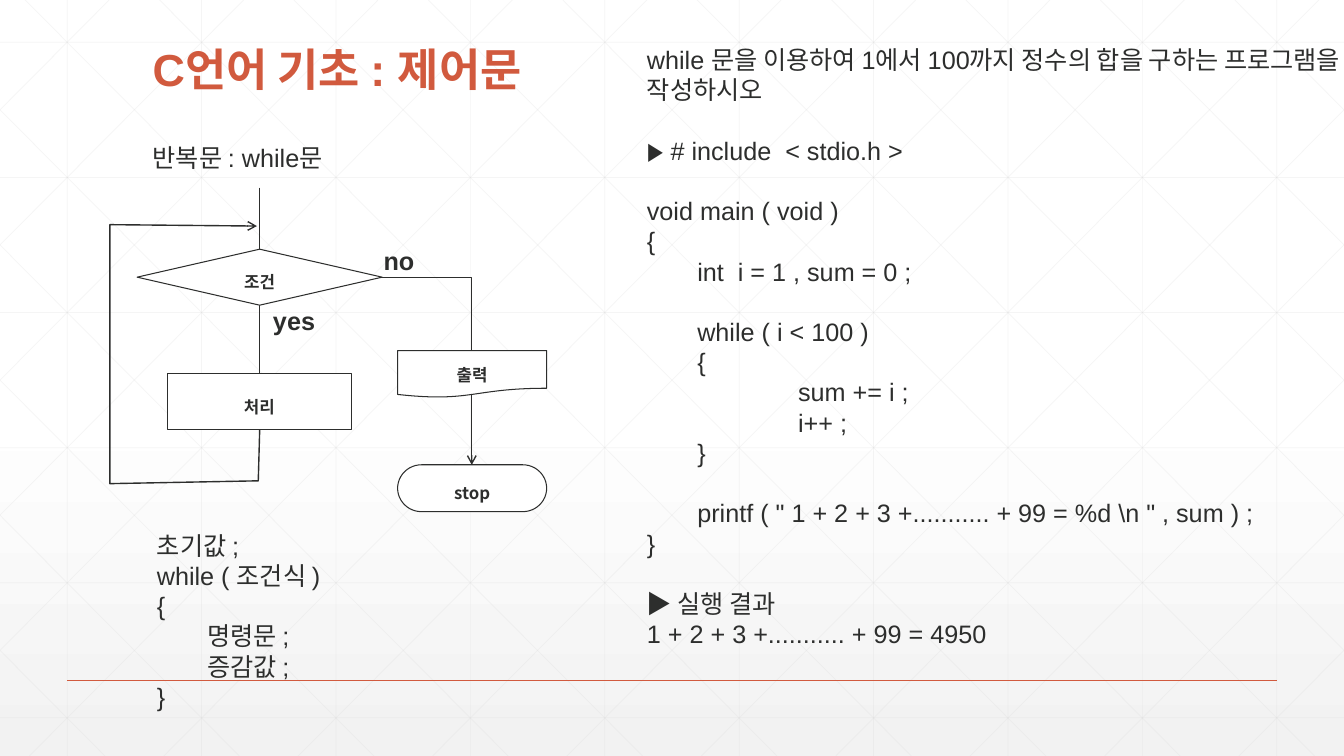
"""Build a slide on the C while statement with a flowchart and sample code."""
from lxml import etree
from pptx import Presentation
from pptx.dml.color import RGBColor
from pptx.enum.shapes import MSO_CONNECTOR, MSO_SHAPE
from pptx.enum.text import MSO_ANCHOR, PP_ALIGN
from pptx.oxml.ns import qn
from pptx.util import Pt

STRAIGHT = MSO_CONNECTOR.STRAIGHT
TOP, MIDDLE, BOTTOM = MSO_ANCHOR.TOP, MSO_ANCHOR.MIDDLE, MSO_ANCHOR.BOTTOM
LEFT, CENTER = PP_ALIGN.LEFT, PP_ALIGN.CENTER
DIAMOND = MSO_SHAPE.DIAMOND
RECTANGLE = MSO_SHAPE.RECTANGLE
DOCUMENT = MSO_SHAPE.FLOWCHART_DOCUMENT
TERMINATOR = MSO_SHAPE.FLOWCHART_TERMINATOR
WHITE = RGBColor(0xFF, 0xFF, 0xFF)
PALE = RGBColor(0xF2, 0xF2, 0xF2)
GRID = RGBColor(0xD9, 0xD9, 0xD9)
ACCENT = RGBColor(0xD1, 0x5A, 0x3E)
INK = RGBColor(0x2D, 0x2E, 0x2D)
KOREAN_FONT = "Noto Sans CJK KR"
WIDTH, HEIGHT = 960, 540
GRID_STEP, DIAGONAL_START, DIAGONAL_RUN = 96, 18, 537
LINE_HEIGHT = Pt(21.6)

presentation = Presentation()
presentation.slide_width, presentation.slide_height = Pt(WIDTH), Pt(HEIGHT)
slide = presentation.slides.add_slide(presentation.slide_layouts[6])
shapes = slide.shapes

background = slide.background.fill
background.gradient()
background.gradient_angle = 270
for stop, (position, color) in zip(background.gradient_stops, [(0.53, WHITE), (1, PALE)]):
    stop.position = position
    stop.color.rgb = color


def draw_line(start, end, color, width, opacity=100):
    """Draw a straight line between two points."""
    line = shapes.add_connector(STRAIGHT, *(Pt(value) for value in (*start, *end)))
    line.line.color.rgb = color
    line.line.width = Pt(width)
    properties = line._element.spPr
    etree.SubElement(properties, qn("a:effectLst"))
    if opacity < 100:
        tint = properties.find(".//" + qn("a:srgbClr"))
        etree.SubElement(tint, qn("a:alpha")).set("val", str(opacity * 1000))


def write_text(frame, lines, size=18, font="Arial", color=INK, bold=False,
               align=LEFT, spacing=LINE_HEIGHT, anchor=TOP):
    """Write lines given as text, left indent and blank lines before."""
    frame.vertical_anchor = anchor
    for index, (text, indent, gap) in enumerate(lines):
        paragraph = frame.add_paragraph() if index else frame.paragraphs[0]
        paragraph.alignment = align
        paragraph.line_spacing = spacing
        paragraph.space_before = Pt(gap * 21.6)
        paragraph._p.get_or_add_pPr().set("marL", str(Pt(indent)))
        run = paragraph.add_run()
        run.text = text
        run.font.size, run.font.name, run.font.bold = Pt(size), font, bold
        run.font.color.rgb = color
        properties = run._r.get_or_add_rPr()
        etree.SubElement(properties, qn("a:ea")).set("typeface", KOREAN_FONT)


for column in range(10):
    x = 48 + column * GRID_STEP
    draw_line((x, 0), (x, HEIGHT), GRID, 0.5, 25)
for row in range(6):
    y = 30.25 + row * 96.5
    draw_line((0, y), (WIDTH, y), GRID, 0.5, 25)
slope = HEIGHT / DIAGONAL_RUN
for step in range(-5, 10):
    x = DIAGONAL_START + step * GRID_STEP
    left, right = max(x, 0), min(x + DIAGONAL_RUN, WIDTH)
    top, bottom = (left - x) * slope, (right - x) * slope
    draw_line((left, top), (right, bottom), GRID, 0.5, 25)
    draw_line((WIDTH - left, top), (WIDTH - right, bottom), GRID, 0.5, 25)
draw_line((48, 486), (912, 486), ACCENT, 1)

title = shapes.add_textbox(Pt(102), Pt(28), Pt(756), Pt(44)).text_frame
title.word_wrap = True
write_text(title, [("C언어 기초 : 제어문", 0, 0)], size=32, color=ACCENT,
           bold=True, spacing=0.9, anchor=BOTTOM)

heading = [("반복문 : while문", 0, 0)]
program = [
    ("while 문을 이용하여 1에서 100까지 정수의 합을 구하는 프로그램을 작성하시오", 0, 0),
    ("▶ # include  < stdio.h >", 0, 1),
    ("void main ( void )", 0, 1),
    ("{", 0, 0),
    ("int  i = 1 , sum = 0 ;", 36, 0),
    ("while ( i < 100 )", 36, 1),
    ("{", 36, 0),
    ("sum += i ;", 108, 0),
    ("i++ ;", 108, 0),
    ("}", 36, 0),
    ('printf ( " 1 + 2 + 3 +........... + 99 = %d \\n " , sum ) ;', 36, 1),
    ("}", 0, 0),
    ("▶ 실행 결과", 0, 1),
    ("1 + 2 + 3 +........... + 99 = 4950", 0, 0),
]
syntax = [
    ("초기값 ;", 0, 0),
    ("while ( 조건식 )", 0, 0),
    ("{", 0, 0),
    ("명령문 ;", 36, 0),
    ("증감값 ;", 36, 0),
    ("}", 0, 0),
]
for lines, box in [(heading, (102, 98, 577, 70)), (program, (455, 28, 516, 443)),
                   (syntax, (105, 375, 247, 138))]:
    frame = shapes.add_textbox(*(Pt(value) for value in box)).text_frame
    frame.word_wrap = True
    write_text(frame, lines)

for label, box in [("no", (258, 172, 54, 47)), ("yes", (178.5, 214.5, 63, 47))]:
    frame = shapes.add_textbox(*(Pt(value) for value in box)).text_frame
    frame.word_wrap = False
    write_text(frame, [(label, 0, 0)], bold=True, align=CENTER)

draw_line((185.5, 134), (185.5, 267), INK, 0.75)

loop_back = [(185.5, 307), (184.5, 343.5), (78.5, 345.5), (78.5, 160.5), (183.5, 161.5)]
exit_path = [(270, 198), (337, 198), (337, 332)]
for points in (loop_back, exit_path):
    first, *others = [(Pt(x), Pt(y)) for x, y in points]
    builder = shapes.build_freeform(*first)
    builder.add_line_segments(others, close=False)
    arrow = builder.convert_to_shape()
    arrow.shadow.inherit = False
    arrow.fill.background()
    arrow.line.color.rgb = INK
    arrow.line.width = Pt(1)
    etree.SubElement(arrow.line._get_or_add_ln(), qn("a:tailEnd")).set("type", "arrow")

for kind, label, box in [
    (RECTANGLE, "처리", (119.5, 267, 131.5, 40)),
    (DIAMOND, "조건", (98, 178, 175, 40)),
    (TERMINATOR, "stop", (284, 332, 106.5, 33.5)),
    (DOCUMENT, "출력", (284, 250.5, 106.5, 33.5)),
]:
    node = shapes.add_shape(kind, *(Pt(value) for value in box))
    node.shadow.inherit = False
    node.fill.solid()
    node.fill.fore_color.rgb = WHITE
    node.line.color.rgb = INK
    node.line.width = Pt(0.75)
    frame = node.text_frame
    frame.margin_left = frame.margin_right = frame.margin_top = frame.margin_bottom = 0
    write_text(frame, [(label, 0, 0.11)], size=12, font=KOREAN_FONT, bold=True,
               align=CENTER, spacing=1.5, anchor=MIDDLE)

presentation.save("out.pptx")
